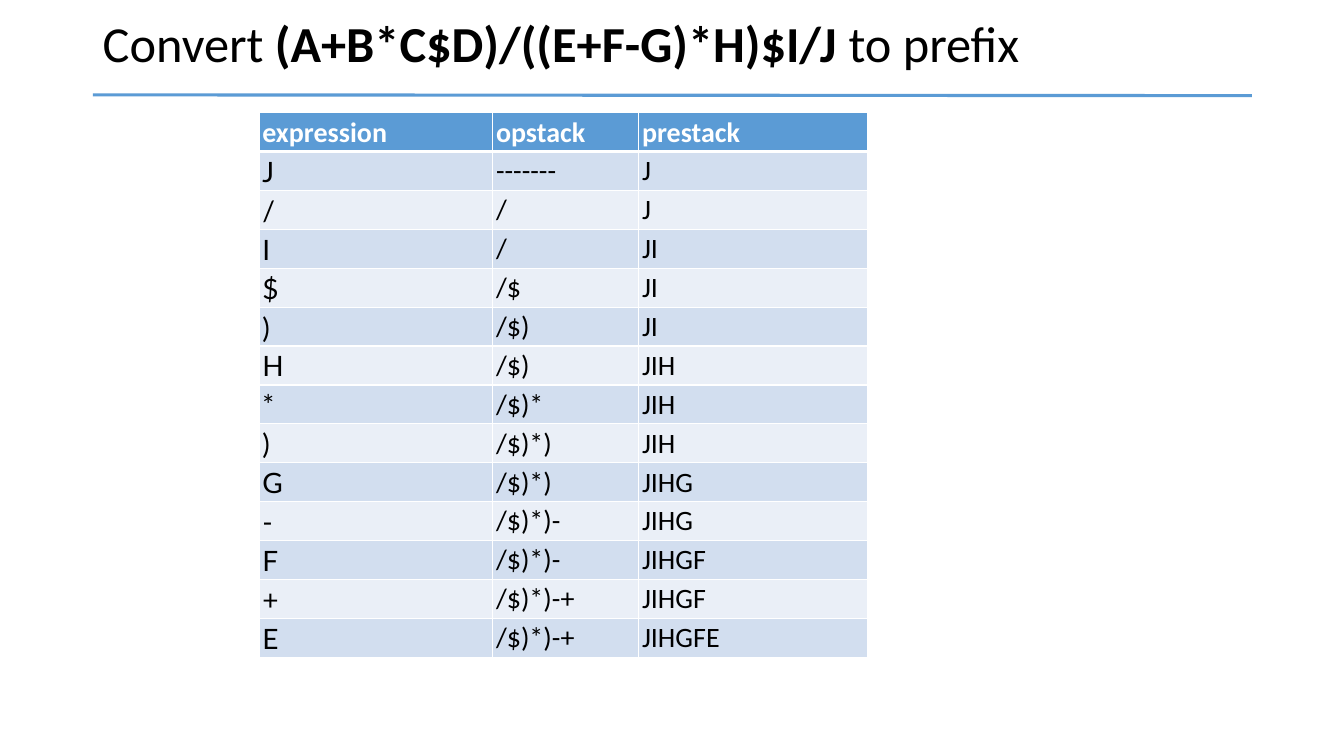
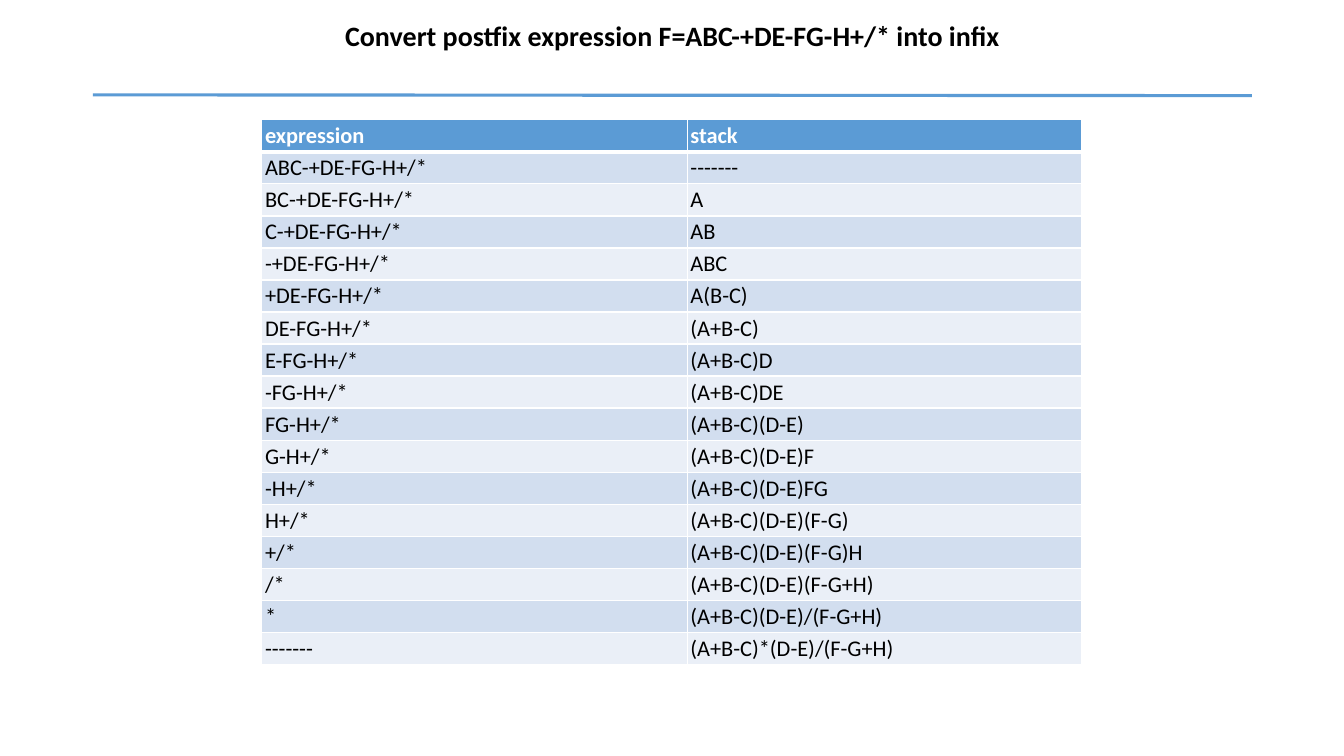
from lxml import etree
from pptx import Presentation
from pptx.dml.color import RGBColor
from pptx.enum import shapes, text
from pptx.oxml import ns
from pptx.util import Cm, Pt

COLORS = {
    "accent": "5B9BD5",
    "odd_row": "D2DEEF",
    "even_row": "EAEFF7",
    "light": "FFFFFF",
    "ink": "000000",
}
BODY_FONT, SYMBOL_FONT = "Calibri", "Lato"
MARGIN, CONTENT_WIDTH = 2.34, 29.21
TABLE_HEIGHT = 13.72
EMPTY = "-------"

PREFIX_STEPS = [
    ("J", EMPTY, "J"),
    ("/", "/", "J"),
    ("I", "/", "JI"),
    ("$", "/$", "JI"),
    (")", "/$)", "JI"),
    ("H", "/$)", "JIH"),
    ("*", "/$)*", "JIH"),
    (")", "/$)*)", "JIH"),
    ("G", "/$)*)", "JIHG"),
    ("-", "/$)*)-", "JIHG"),
    ("F", "/$)*)-", "JIHGF"),
    ("+", "/$)*)-+", "JIHGF"),
    ("E", "/$)*)-+", "JIHGFE"),
]
POSTFIX = "ABC-+DE-FG-H+/*"
INFIX_STACKS = [
    EMPTY, "A", "AB", "ABC", "A(B-C)", "(A+B-C)", "(A+B-C)D", "(A+B-C)DE",
    "(A+B-C)(D-E)", "(A+B-C)(D-E)F", "(A+B-C)(D-E)FG", "(A+B-C)(D-E)(F-G)",
    "(A+B-C)(D-E)(F-G)H", "(A+B-C)(D-E)(F-G+H)", "(A+B-C)(D-E)/(F-G+H)",
    "(A+B-C)*(D-E)/(F-G+H)",
]


def rgb(name):
    """Return the named palette colour."""
    return RGBColor.from_string(COLORS[name])


def write(paragraph, wording, size, font=BODY_FONT, color="ink", bold=False):
    """Add one formatted run to a paragraph."""
    run = paragraph.add_run()
    run.text = wording
    run.font.size = Pt(size)
    run.font.name = font
    run.font.bold = bold
    run.font.color.rgb = rgb(color)


def add_title(slide, parts, size, height, align=text.PP_ALIGN.LEFT):
    """Place a title made of (wording, bold) parts above the rule."""
    box = slide.shapes.add_textbox(Cm(MARGIN), Cm(0.28), Cm(CONTENT_WIDTH), Cm(height))
    frame = box.text_frame
    frame.word_wrap = True
    frame.vertical_anchor = text.MSO_ANCHOR.MIDDLE
    heading = frame.paragraphs[0]
    heading.alignment = align
    heading.line_spacing = 0.9
    for wording, bold in parts:
        write(heading, wording, size, bold=bold)


def add_rule(slide):
    """Draw the rule that separates title and content."""
    rule = slide.shapes.add_connector(
        shapes.MSO_CONNECTOR.STRAIGHT,
        Cm(MARGIN), Cm(2.39), Cm(MARGIN + CONTENT_WIDTH), Cm(2.41))
    rule.line.color.rgb = rgb("accent")
    rule.line.width = Pt(2.25)
    etree.SubElement(rule._element.spPr, ns.qn("a:effectLst"))


def set_borders(cell, top=1, bottom=1):
    """Give a cell white borders, with widths in points."""
    properties = cell._tc.get_or_add_tcPr()
    for side, width in (("L", 1), ("R", 1), ("T", top), ("B", bottom)):
        border = etree.SubElement(properties, ns.qn(f"a:ln{side}"), w=str(Pt(width)))
        fill = etree.SubElement(border, ns.qn("a:solidFill"))
        etree.SubElement(fill, ns.qn("a:srgbClr"), val=COLORS["light"])


def fill_cell(cell, wording, row, size, font):
    """Format and write one cell of a trace table."""
    header = row == 0
    set_borders(cell, top=3 if row == 1 else 1, bottom=3 if header else 1)
    cell.fill.solid()
    band = "odd_row" if row % 2 else "even_row"
    cell.fill.fore_color.rgb = rgb("accent" if header else band)
    cell.margin_left = cell.margin_right = Cm(0.08)
    cell.margin_top = cell.margin_bottom = Cm(0.05)
    cell.vertical_anchor = text.MSO_ANCHOR.BOTTOM
    write(cell.text_frame.paragraphs[0], wording, size,
          font=BODY_FONT if header else font,
          color="light" if header else "ink", bold=header)


def add_trace(slide, left, top, widths, rows, size, first_font=BODY_FONT):
    """Place a conversion trace with equal row heights."""
    table = slide.shapes.add_table(
        len(rows), len(widths), Cm(left), Cm(top),
        Cm(sum(widths)), Cm(TABLE_HEIGHT)).table
    for column, width in zip(table.columns, widths):
        column.width = Cm(width)
    for r, row in enumerate(rows):
        table.rows[r].height = Cm(TABLE_HEIGHT / len(rows))
        for c, wording in enumerate(row):
            font = BODY_FONT if c else first_font
            fill_cell(table.cell(r, c), wording, r, size, font)


def new_slide(deck):
    """Add a blank slide with the shared rule."""
    slide = deck.slides.add_slide(deck.slide_layouts[6])
    add_rule(slide)
    return slide


def build_prefix_slide(deck):
    """Show the conversion from infix to prefix."""
    slide = new_slide(deck)
    title = [("Convert ", False), ("(A+B*C$D)/((E+F-G)*H)$I/J ", True), ("to prefix", False)]
    add_title(slide, title, size=36, height=1.75)
    rows = [("expression", "opstack", "prestack"), *PREFIX_STEPS]
    add_trace(slide, 6.53, 2.84, (5.89, 3.68, 5.77), rows, size=20, first_font=SYMBOL_FONT)


def build_infix_slide(deck):
    """Show the conversion from postfix to infix."""
    slide = new_slide(deck)
    title = [(f"Convert postfix expression F={POSTFIX} into infix", True)]
    add_title(slide, title, size=20, height=1.35, align=text.PP_ALIGN.CENTER)
    steps = [(POSTFIX[i:] or EMPTY, stack) for i, stack in enumerate(INFIX_STACKS)]
    add_trace(slide, 6.6, 3.02, (10.72, 9.93), [("expression", "stack"), *steps], size=16)


def main():
    """Build and save the deck."""
    deck = Presentation()
    deck.slide_width, deck.slide_height = Cm(33.87), Cm(19.05)
    build_prefix_slide(deck)
    build_infix_slide(deck)
    deck.save("out.pptx")


if __name__ == "__main__":
    main()
